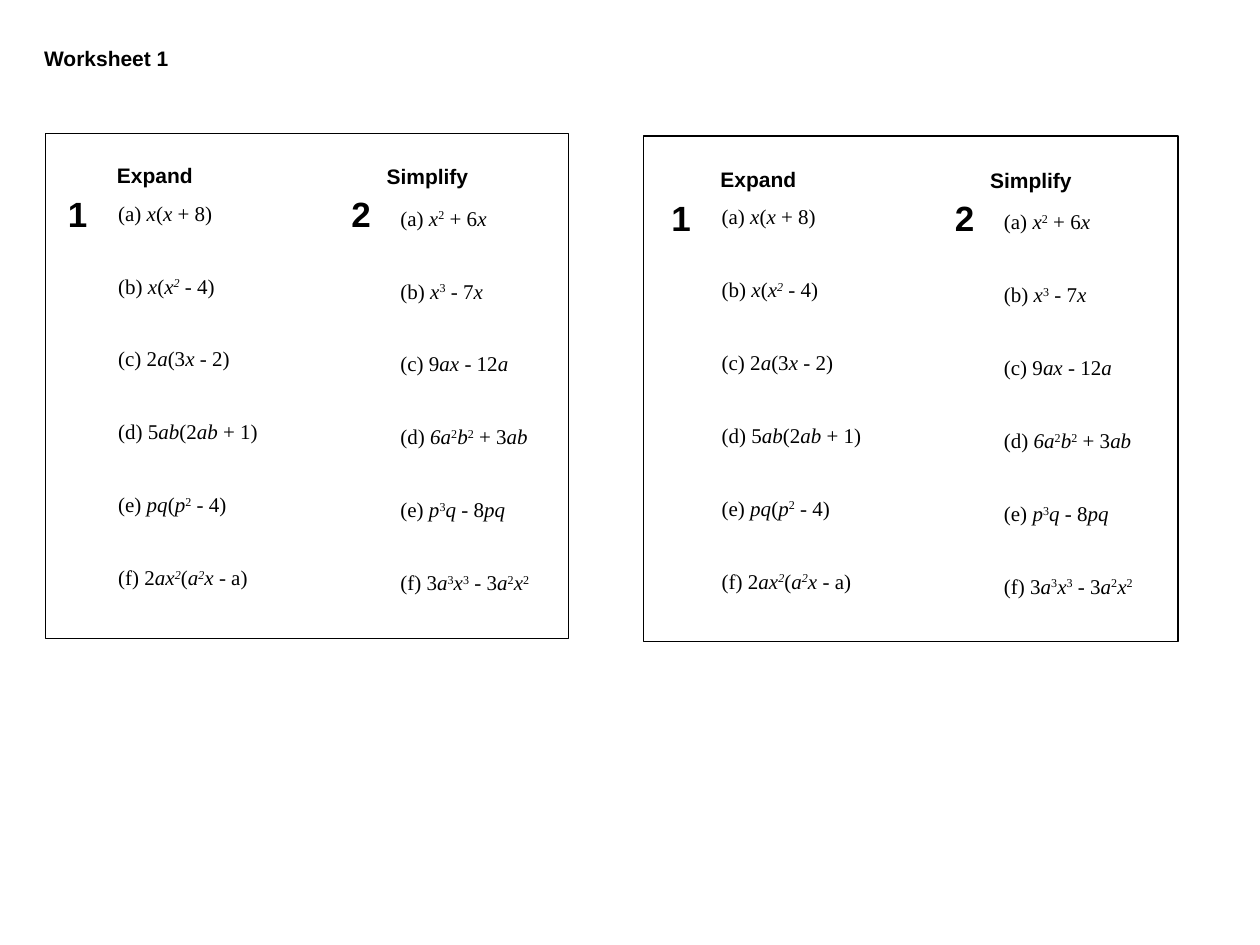
"""Build an algebra worksheet slide with two matching exercise panels."""
from dataclasses import dataclass

import pptx
import pptx.dml.color
import pptx.enum.shapes
import pptx.enum.text
import pptx.util


@dataclass(frozen=True)
class Theme:
    ink: pptx.dml.color.RGBColor = pptx.dml.color.RGBColor(0, 0, 0)
    heading_font: str = "Arial"
    math_font: str = "Times New Roman"
    body_size: int = 12
    number_size: int = 20
    frame_line: float = 0.75
    superscript: str = "30000"


COLUMNS, ROWS = 100, 75
LINE_HEIGHT, NUMBER_HEIGHT = 3, 4.4
QUESTION_STEP = 5.78

EXPAND = [
    "(a)* x*(*x* + 8)",
    "(b)* x*(*x^2* - 4)",
    "(c) 2*a*(3*x* - 2)",
    "(d) 5*ab*(2*ab* + 1)",
    "(e)* pq*(*p*^2 - 4)",
    "(f) 2*ax^2*(*a^2x* - a)",
]
SIMPLIFY = [
    "(a)* x*^2 + 6*x*",
    "(b)* x*^3 - 7*x*",
    "(c) 9*ax* - 12*a*",
    "(d)* 6a*^2*b*^2 + 3*ab*",
    "(e)* p*^3*q* - 8*pq*",
    "(f) 3*a*^3*x*^3 - 3*a*^2*x*^2",
]


def split_math(text):
    """Yield (text, italic, raised); * toggles italics and ^ raises a digit."""
    for index, part in enumerate(text.split("*")):
        plain, *powers = part.split("^")
        pieces = [(plain, False)]
        for power in powers:
            pieces += [(power[0], True), (power[1:], False)]
        for piece, raised in pieces:
            if piece:
                yield piece, index % 2 == 1, raised


class Worksheet:
    """Hold the theme and current slide, and draw each kind of element."""

    def __init__(self, deck, theme):
        self.theme = theme
        self.column = deck.slide_width / COLUMNS
        self.row = deck.slide_height / ROWS
        self.page = deck.slides.add_slide(deck.slide_layouts[5])

    def place(self, left, top, width, height):
        """Convert grid columns and rows to slide lengths."""
        return [round(length * unit) for length, unit in zip(
            (left, top, width, height),
            (self.column, self.row, self.column, self.row))]

    def format_text(self, box, font_name, size, bold):
        """Fit the box to its text and style its paragraph."""
        frame = box.text_frame
        frame.word_wrap = True
        frame.auto_size = pptx.enum.text.MSO_AUTO_SIZE.SHAPE_TO_FIT_TEXT
        frame.vertical_anchor = pptx.enum.text.MSO_ANCHOR.TOP
        para = frame.paragraphs[0]
        para.alignment = pptx.enum.text.PP_ALIGN.LEFT
        para.font.name = font_name
        para.font.size = pptx.util.Pt(size)
        para.font.bold = bold
        para.font.color.rgb = self.theme.ink
        return para

    def title(self, text, *area):
        """Move, fill and format the title placeholder."""
        box = self.page.shapes.title
        box.left, box.top, box.width, box.height = self.place(*area)
        box.text_frame.text = text
        self.format_text(box, self.theme.heading_font, self.theme.body_size, True)

    def label(self, group, text, size, *area):
        """Add a bold heading or exercise number."""
        box = group.shapes.add_textbox(*self.place(*area))
        box.text_frame.text = text
        self.format_text(box, self.theme.heading_font, size, True)

    def question(self, group, text, *area):
        """Add one algebra question."""
        box = group.shapes.add_textbox(*self.place(*area))
        para = self.format_text(box, self.theme.math_font, self.theme.body_size, False)
        for piece, italic, raised in split_math(text):
            span = para.add_run()
            span.text = piece
            if italic:
                span.font.italic = True
            if raised:
                span._r.get_or_add_rPr().set("baseline", self.theme.superscript)

    def exercise(self, group, number, heading, questions, number_at, heading_at, questions_at):
        """Add a numbered, headed column of evenly spaced questions."""
        left, top = questions_at
        for index, text in enumerate(questions):
            self.question(group, text, left, top + index * QUESTION_STEP, 16.6, LINE_HEIGHT)
        self.label(group, number, self.theme.number_size, *number_at, 4.6, NUMBER_HEIGHT)
        self.label(group, heading, self.theme.body_size, *heading_at, 10, LINE_HEIGHT)

    def frame(self, *area):
        """Outline a panel."""
        box = self.page.shapes.add_shape(
            pptx.enum.shapes.MSO_SHAPE.RECTANGLE, *self.place(*area))
        box.shadow.inherit = False
        box.fill.background()
        box.line.color.rgb = self.theme.ink
        box.line.width = pptx.util.Pt(self.theme.frame_line)

    def panel(self, left, top, frame_area):
        """Add both exercises from a shared corner, then their frame."""
        group = self.page.shapes.add_group_shape()
        self.exercise(group, "1", "Expand", EXPAND, (left, top + 2.4),
                      (left + 3.9, top), (left + 4, top + 3))
        self.exercise(group, "2", "Simplify", SIMPLIFY, (left + 22.5, top + 2.4),
                      (left + 25.3, top + 0.1), (left + 26.4, top + 3.4))
        self.frame(*frame_area)


def main():
    """Build and save the worksheet."""
    deck = pptx.Presentation()
    deck.slide_width = pptx.util.Inches(10)
    deck.slide_height = pptx.util.Inches(7.5)
    sheet = Worksheet(deck, Theme())
    sheet.title("Worksheet 1", 2.5, 3.1, 19.4, LINE_HEIGHT)
    sheet.panel(4.4, 12.4, (3.6, 10.6, 41.5, 40.1))
    sheet.panel(52.3, 12.7, (51.1, 10.8, 42.4, 40.1))
    deck.save("out.pptx")


if __name__ == "__main__":
    main()
